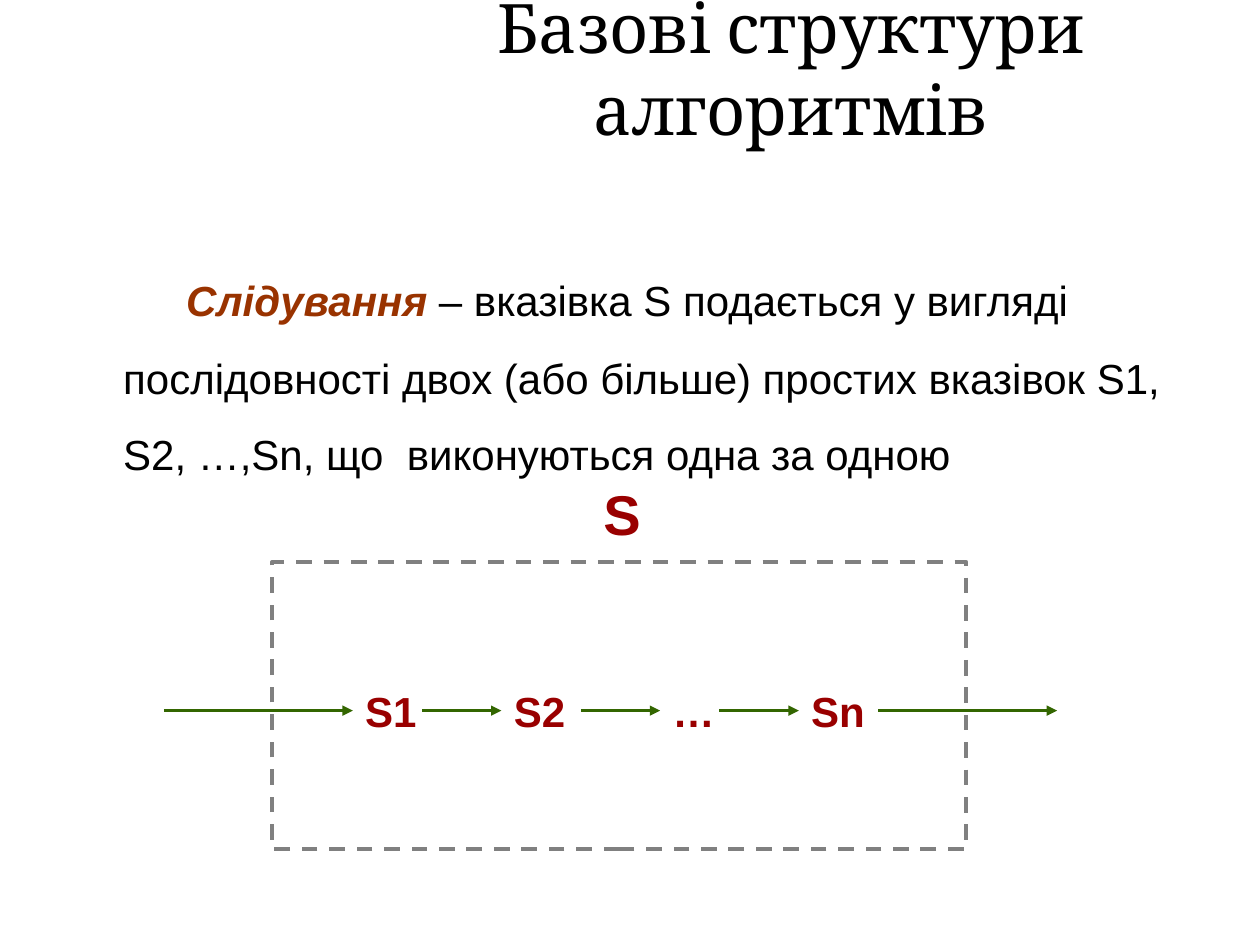
import pptx
import pptx.dml.color
import pptx.enum.dml
import pptx.enum.shapes
import pptx.enum.text
import pptx.oxml
import pptx.oxml.ns
import pptx.util

Inches = pptx.util.Inches
Align = pptx.enum.text.PP_ALIGN
Anchor = pptx.enum.text.MSO_ANCHOR

COLORS = {
    "text": "000000",
    "term": "993300",
    "step": "990000",
    "arrow": "336600",
    "frame": "808080",
}


def rgb(name):
    return pptx.dml.color.RGBColor.from_string(COLORS[name])


def add_element(parent, xml):
    """Append a DrawingML element, given without its namespace."""
    namespace = pptx.oxml.ns.nsdecls("a")
    element = pptx.oxml.parse_xml(xml.replace(" ", f" {namespace} ", 1))
    parent.append(element)
    return element


class SlideBuilder:
    body_font = "Arial"
    title_font = "Cambria"

    def __init__(self, presentation):
        self.slide = presentation.slides.add_slide(presentation.slide_layouts[6])

    def format_run(self, run, size, color, font=body_font, bold=False, italic=False):
        run.font.name = font
        run.font.size = pptx.util.Pt(size)
        run.font.color.rgb = rgb(color)
        run.font.bold = bold
        run.font.italic = italic

    def text_box(self, left, top, width, height, anchor=Anchor.MIDDLE):
        shape = self.slide.shapes.add_textbox(
            Inches(left), Inches(top), Inches(width), Inches(height))
        shape.text_frame.word_wrap = True
        shape.text_frame.vertical_anchor = anchor
        return shape

    def title(self, text):
        shape = self.text_box(2.4, 0, 7.76, 1.07)
        shape.text_frame.text = text
        paragraph = shape.text_frame.paragraphs[0]
        paragraph.alignment = Align.CENTER
        self.format_run(paragraph.runs[0], 39, "text", self.title_font)

    def definition(self, term, explanation):
        """Add the body paragraph, its term set in by two tabs."""
        shape = self.text_box(0.5, 1.75, 9, 4.95, Anchor.TOP)
        paragraph = shape.text_frame.paragraphs[0]
        properties = paragraph._p.get_or_add_pPr()
        properties.set("marL", str(Inches(0.38)))
        properties.set("indent", str(Inches(-0.38)))
        add_element(properties, "<a:buNone />")
        tabs = add_element(properties, "<a:tabLst />")
        for inch in range(8):
            add_element(tabs, f'<a:tab pos="{Inches(inch)}" algn="l"/>')
        paragraph.line_spacing = 1.5
        for text, size, color, bold, italic in (
            ("\t\t", 32, "text", True, False),
            (term, 24, "term", True, True),
            (explanation, 24, "text", False, False),
        ):
            run = paragraph.add_run()
            run.text = text
            self.format_run(run, size, color, bold=bold, italic=italic)

    def label(self, text, left, top, width, height, size):
        shape = self.text_box(left, top, width, height)
        shape.text_frame.text = text
        paragraph = shape.text_frame.paragraphs[0]
        paragraph.alignment = Align.JUSTIFY
        self.format_run(paragraph.runs[0], size, "step", bold=True)
        return shape

    def dashed_frame(self, left, top, width, height):
        shape = self.slide.shapes.add_shape(
            pptx.enum.shapes.MSO_SHAPE.RECTANGLE,
            Inches(left), Inches(top), Inches(width), Inches(height))
        shape.shadow.inherit = False
        shape.fill.background()
        shape.line.color.rgb = rgb("frame")
        shape.line.width = pptx.util.Pt(2.25)
        shape.line.dash_style = pptx.enum.dml.MSO_LINE.DASH

    def arrow(self, start, end, y, target=None):
        connector = self.slide.shapes.add_connector(
            pptx.enum.shapes.MSO_CONNECTOR.STRAIGHT,
            Inches(start), Inches(y), Inches(end), Inches(y))
        connector.line.color.rgb = rgb("arrow")
        connector.line.width = pptx.util.Pt(1.75)
        add_element(connector.line._get_or_add_ln(), '<a:tailEnd type="triangle"/>')
        add_element(connector._element.spPr, "<a:effectLst />")
        if target is not None:
            connector.end_connect(target, 1)


def main():
    presentation = pptx.Presentation()
    presentation.slide_width = Inches(10)
    presentation.slide_height = Inches(7.5)

    builder = SlideBuilder(presentation)
    builder.title("Базові структури алгоритмів")
    builder.definition(
        "Слідування",
        " – вказівка S подається у вигляді послідовності двох (або більше) "
        "простих вказівок S1, S2, …,Sn, що  виконуються одна за одною")

    builder.dashed_frame(2.16, 4.46, 5.51, 2.28)
    builder.label("S", 4.69, 3.75, 1.26, 0.64, size=32)

    flow_y = 5.64
    step_height = 0.5
    steps = (  # text, left, width, start of the incoming arrow
        ("S1", 2.8, 1.26, 1.3),
        ("S2", 3.98, 1.26, 3.35),
        ("…", 5.24, 0.71, 4.61),
        ("Sn", 6.34, 1.26, 5.71),
    )
    for text, left, width, arrow_start in steps:
        step = builder.label(
            text, left, flow_y - step_height / 2, width, step_height, size=24)
        builder.arrow(arrow_start, left, flow_y, step)
    builder.arrow(6.97, 8.39, flow_y)

    presentation.save("out.pptx")


if __name__ == "__main__":
    main()
